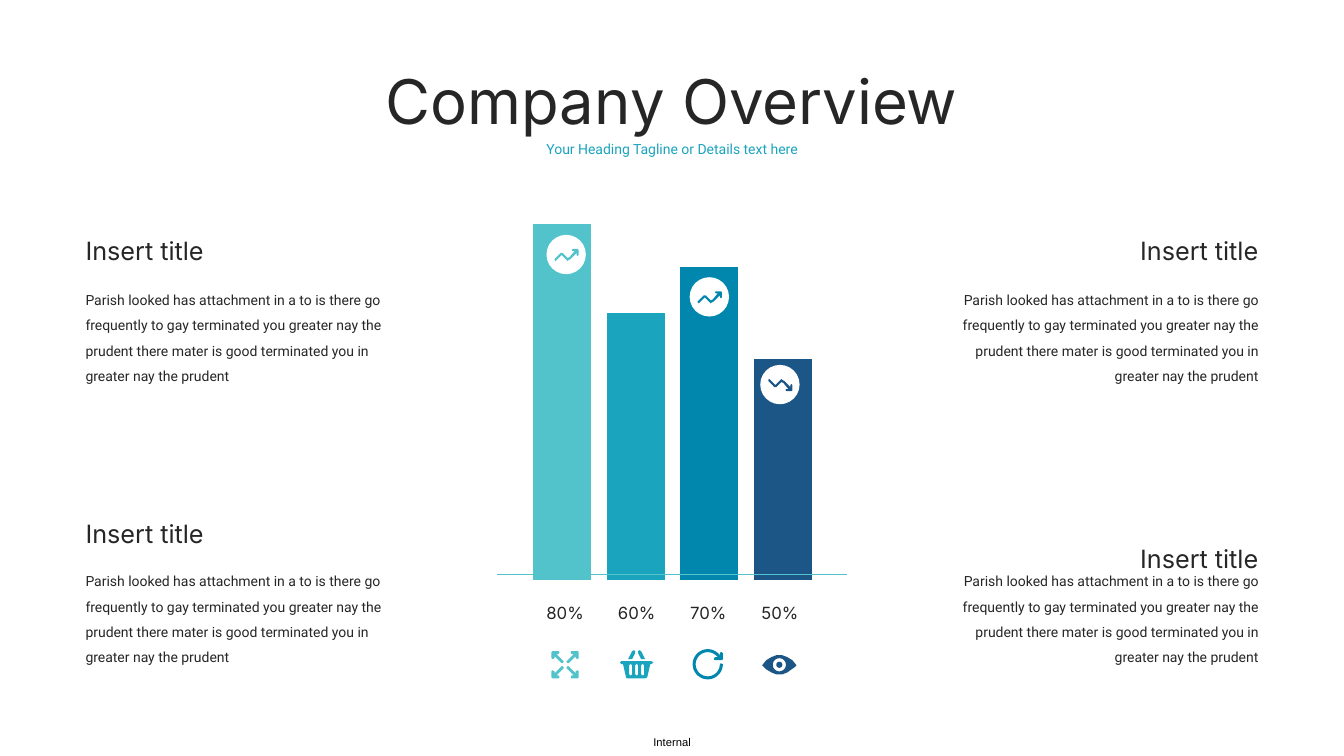
from math import cos, radians, sin

from lxml import etree
from pptx import Presentation
from pptx.chart.data import CategoryChartData
from pptx.dml.color import RGBColor
from pptx.enum.chart import XL_CHART_TYPE
from pptx.enum.shapes import MSO_CONNECTOR, MSO_SHAPE
from pptx.enum.text import MSO_ANCHOR, MSO_AUTO_SIZE, PP_ALIGN
from pptx.oxml.ns import qn
from pptx.util import Pt

EMU_PER_PX = 9144
TITLE_ONLY = 5

LEFT, CENTER, RIGHT = PP_ALIGN.LEFT, PP_ALIGN.CENTER, PP_ALIGN.RIGHT
TOP = MSO_ANCHOR.TOP
NO_FIT = MSO_AUTO_SIZE.NONE
COLUMN = XL_CHART_TYPE.COLUMN_CLUSTERED
STRAIGHT = MSO_CONNECTOR.STRAIGHT
OVAL = MSO_SHAPE.OVAL

WHITE = RGBColor(0xFF, 0xFF, 0xFF)
BLACK = RGBColor(0x00, 0x00, 0x00)
INK = RGBColor(0x26, 0x26, 0x26)
AQUA = RGBColor(0x52, 0xC3, 0xCB)
TEAL = RGBColor(0x1B, 0xA4, 0xBE)
BLUE = RGBColor(0x01, 0x87, 0xAE)
NAVY = RGBColor(0x1C, 0x56, 0x87)

BODY = [
    "Parish looked has attachment in a to is there go",
    "frequently to gay terminated you greater nay the prudent there mater "
    "is good terminated you in greater nay the prudent",
]


def px(length):
    return round(length * EMU_PER_PX)


def mirror(points, width=None, height=None):
    """Flip points across a box of the given width and/or height."""
    return [(x if width is None else width - x,
             y if height is None else height - y) for x, y in points]


def arc(center, radius, start, end, step=10):
    """Points along a circle; angles in degrees, clockwise from the right."""
    x, y = center
    direction = step if end > start else -step
    return [(x + radius * cos(radians(angle)), y + radius * sin(radians(angle)))
            for angle in range(start, end + direction, direction)]


def trend_icon():
    return [[(23, 7), (22, 6), (22, 4), (16, 10), (14, 11), (13, 12), (12, 11),
             (7, 6), (2, 11), (1, 12), (0, 11), (0, 10), (6, 4), (7, 4), (8, 4),
             (13, 9), (15, 8), (20, 2), (18, 2), (17, 1), (18, 0), (23, 0),
             (24, 1), (24, 6)]]


def expand_icon():
    arrow = [(26, 8), (24, 7), (24, 5), (17, 12), (16, 12), (15, 11), (15, 10),
             (22, 3), (20, 3), (19, 1), (20, 0), (26, 0), (27, 1), (27, 7)]
    return [mirror(arrow, width, height)
            for width in (None, 27) for height in (None, 27)]


def basket_icon():
    body = [(33, 12), (31, 14), (30, 14), (27, 27), (25, 28), (7, 28), (6, 27),
            (3, 14), (1, 14), (0, 12), (1, 11), (31, 11)]
    handle = [(18, 3), (18, 1), (19, 0), (21, 1), (25, 9), (21, 9)]
    slot = [(0, 15), (1, 14), (2, 14), (3, 15), (3, 24), (2, 25), (1, 25), (0, 24)]
    slots = [[(x + left, y) for x, y in slot] for left in (9, 15, 21)]
    return [body, handle, mirror(handle, width=33)] + slots


def refresh_icon():
    center = (15, 15)
    head = [(27, 7), (27, 4), (28, 3), (29, 3), (30, 4), (30, 10), (29, 11),
            (22, 11), (21, 10), (22, 8), (25, 8)]
    return [arc(center, 15, 0, 320) + head + arc(center, 12, 320, 0) + [(28, 14)]]


def eye_icon():
    lid = [(34, 10), (32, 12), (25, 17), (20, 19), (14, 19), (9, 17), (4, 14),
           (0, 10), (4, 5), (9, 2), (14, 0), (20, 0), (25, 2), (30, 5)]
    center = (17, 9.5)
    return [lid, arc(center, 6.5, 0, 350), arc(center, 3, 0, 350)]


class SlideBuilder:
    """Holds the current slide and the shared text style."""

    heading_font = "Inter"
    body_font = "Roboto"

    def __init__(self, presentation):
        self.slide = presentation.slides.add_slide(
            presentation.slide_layouts[TITLE_ONLY])
        self.shapes = self.slide.shapes

    def fill_text(self, frame, lines, size=10, font=body_font, color=INK,
                  align=LEFT, spacing=1.0, inset=True):
        frame.word_wrap = True
        frame.auto_size = NO_FIT
        frame.vertical_anchor = TOP
        if not inset:
            frame.margin_left = frame.margin_right = 0
            frame.margin_top = frame.margin_bottom = 0
        for index, line in enumerate(lines):
            paragraph = frame.add_paragraph() if index else frame.paragraphs[0]
            paragraph.text = line
            paragraph.alignment = align
            paragraph.line_spacing = spacing
            paragraph.font.size = Pt(size)
            paragraph.font.name = font
            paragraph.font.color.rgb = color

    def title(self, text, left, top, width, height):
        shape = self.shapes.title
        shape.left, shape.top = px(left), px(top)
        shape.width, shape.height = px(width), px(height)
        self.fill_text(shape.text_frame, [text], size=44,
                       font=self.heading_font, align=CENTER)

    def text(self, lines, left, top, width, height, **style):
        box = self.shapes.add_textbox(px(left), px(top), px(width), px(height))
        self.fill_text(box.text_frame, lines, **style)

    def paint(self, shape, color):
        shape.shadow.inherit = False
        shape.fill.solid()
        shape.fill.fore_color.rgb = color
        shape.line.fill.background()

    def disc(self, left, top, diameter, color):
        shape = self.shapes.add_shape(OVAL, px(left), px(top),
                                      px(diameter), px(diameter))
        self.paint(shape, color)

    def icon(self, contours, left, top, color):
        placed = [[(px(left + x), px(top + y)) for x, y in contour]
                  for contour in contours]
        builder = self.shapes.build_freeform(*placed[0][0])
        for index, contour in enumerate(placed):
            if index:
                builder.move_to(*contour[0])
            builder.add_line_segments(contour[1:], close=True)
        self.paint(builder.convert_to_shape(), color)

    def line(self, left, right, y, color):
        connector = self.shapes.add_connector(STRAIGHT, px(left), px(y),
                                              px(right), px(y))
        connector.line.color.rgb = color
        connector.line.width = Pt(1)
        properties = connector._element.spPr
        etree.SubElement(properties, qn("a:effectLst"))

    def column_chart(self, values, colors, left, top, width, height):
        data = CategoryChartData(number_format="0")
        data.categories = ["1"]
        for number, value in enumerate(values, 1):
            data.add_series(f"Series {number}", [value])
        chart = self.shapes.add_chart(COLUMN, px(left), px(top), px(width),
                                      px(height), data).chart
        chart.has_legend = chart.has_title = False
        chart.font.name, chart.font.size = "Calibri", Pt(10)
        chart.font.color.rgb = BLACK
        axis = chart.value_axis
        axis.has_major_gridlines = False
        axis.minimum_scale, axis.maximum_scale = 0, 113
        axis.visible = chart.category_axis.visible = False
        plot = chart.plots[0]
        plot.gap_width, plot.overlap = 219, -27
        plot.vary_by_categories = False
        for series, color in zip(plot.series, colors):
            series.format.fill.solid()
            series.format.fill.fore_color.rgb = color


def main():
    presentation = Presentation()
    presentation.slide_width, presentation.slide_height = px(1333), px(750)
    page = SlideBuilder(presentation)

    page.column_chart([100, 75, 88, 62], [AQUA, TEAL, BLUE, NAVY],
                      457, 168, 420, 416)
    page.title("Company Overview", 329, 57, 675, 84)
    page.text(["Your Heading Tagline or Details text here"], 526, 134, 281, 27,
              color=TEAL, align=CENTER)

    for align, heading_left, body_left, lower_heading_top in (
            (LEFT, 75, 75, 509), (RIGHT, 1056, 941, 534)):
        for heading_top, body_top in ((229, 276), (lower_heading_top, 555)):
            page.text(["Insert title"], heading_left, heading_top, 202, 40,
                      size=18, font=page.heading_font, align=align)
            page.text(BODY, body_left, body_top, 317, 108,
                      align=align, spacing=1.5)

    page.line(493, 840, 570, AQUA)

    rising = trend_icon()
    falling = [mirror(rising[0], height=12)]
    for left, top, trend, color in ((542, 233, rising, AQUA),
                                    (684, 275, rising, BLUE),
                                    (754, 362, falling, NAVY)):
        page.disc(left, top, 39, WHITE)
        page.icon(trend, left + 8, top + 14, color)

    for index, (share, icon, left, top, color) in enumerate((
            ("80%", expand_icon(), 547, 646, AQUA),
            ("60%", basket_icon(), 615, 645, TEAL),
            ("70%", refresh_icon(), 687, 644, BLUE),
            ("50%", eye_icon(), 756, 650, NAVY))):
        page.text([share], 524 + 71 * index, 593, 73, 30, size=12,
                  font=page.heading_font, align=CENTER)
        page.icon(icon, left, top, color)

    page.text(["Internal"], 648, 730, 40, 13, size=8, font="Arial",
              color=BLACK, inset=False)
    presentation.save("out.pptx")


if __name__ == "__main__":
    main()
